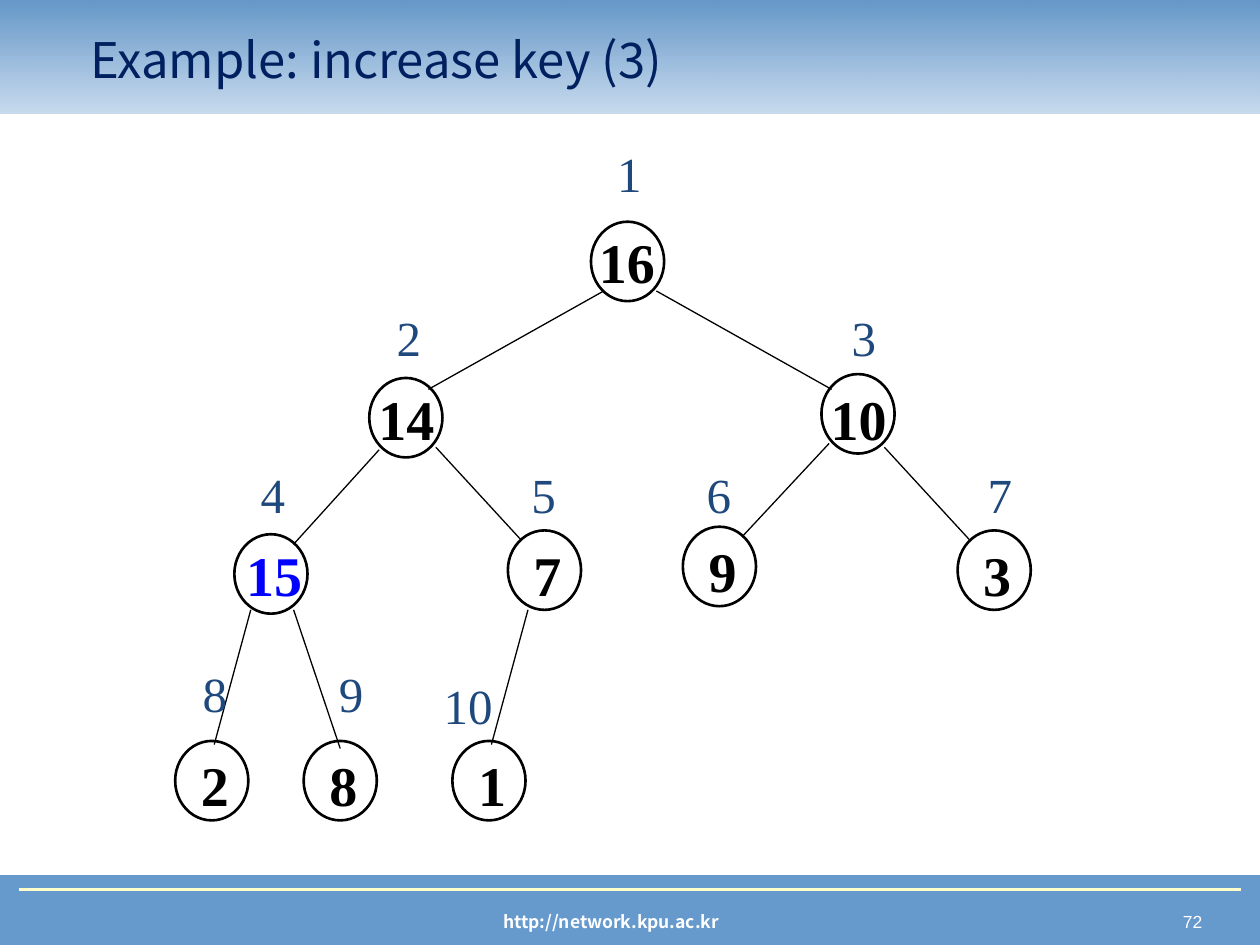
from typing import NamedTuple

import pptx
import pptx.dml.color
import pptx.enum.shapes
import pptx.enum.text
import pptx.oxml.ns
import pptx.util
from lxml import etree

Pt = pptx.util.Pt
RGBColor = pptx.dml.color.RGBColor
PP_ALIGN = pptx.enum.text.PP_ALIGN
MSO_ANCHOR = pptx.enum.text.MSO_ANCHOR
MSO_SHAPE = pptx.enum.shapes.MSO_SHAPE
qn = pptx.oxml.ns.qn

BAND_BLUE = RGBColor(0x66, 0x99, 0xCC)
HEADER_TOP = RGBColor(0x64, 0x97, 0xC9)
RULE_CREAM = RGBColor(0xFF, 0xFF, 0xCC)
TITLE_NAVY = RGBColor(0x00, 0x20, 0x60)
INDEX_BLUE = RGBColor(0x1F, 0x49, 0x7D)
CHANGED_BLUE = RGBColor(0x00, 0x00, 0xFF)
BLACK = RGBColor(0, 0, 0)
WHITE = RGBColor(0xFF, 0xFF, 0xFF)

SANS = "Noto Sans CJK KR"
SERIF = "Times New Roman"
NODE_WIDTH, NODE_HEIGHT = 41.8, 45.4
KEY_WIDTH, KEY_HEIGHT = 56.9, 46.1
INDEX_HEIGHT = 41


class Style(NamedTuple):
    font: str
    size: float
    color: RGBColor
    bold: bool = False
    align: PP_ALIGN = PP_ALIGN.CENTER


class Node(NamedTuple):
    """A heap node: left/top corners of its circle, key text and index text."""
    key: str
    circle: tuple[float, float]
    key_at: tuple[float, float]
    index_at: tuple[float, float]
    index_width: float = 28.1


class Edge(NamedTuple):
    start: tuple[float, float]
    end: tuple[float, float]


KEY_STYLE = Style(SERIF, 32, BLACK, bold=True)
CHANGED_STYLE = KEY_STYLE._replace(color=CHANGED_BLUE)
INDEX_STYLE = Style(SERIF, 28, INDEX_BLUE)
CHANGED_INDEX = 4

# In heap order, so the index shown is the position in this list.
HEAP = [
    Node("16", (337.7, 126.7), (329.8, 126.7), (345.6, 78.5)),
    Node("14", (211, 216), (203.8, 216), (219.6, 172.1)),
    Node("10", (469.4, 213.8), (462.2, 216), (479.5, 172.1)),
    Node("15", (133.9, 305.3), (128.2, 305.3), (141.8, 262.1)),
    Node("7", (290.2, 303.1), (284.4, 305.3), (296.6, 262.1)),
    Node("9", (390.2, 301), (384.5, 303.1), (396.7, 262.1)),
    Node("3", (547.2, 303.1), (541.4, 305.3), (557.3, 262.1)),
    Node("2", (100.1, 423.4), (94.3, 425.5), (108.7, 375.8)),
    Node("8", (173.5, 423.4), (167.8, 425.5), (186.5, 375.8)),
    Node("1", (258.5, 423.4), (252.7, 425.5), (246.2, 382.3), 42.5),
]
EDGES = [
    Edge((345, 166.3), (244.8, 222.5)),
    Edge((375.1, 166.3), (475.2, 222.5)),
    Edge((216.7, 257), (167.8, 311)),
    Edge((249.1, 255.6), (298.1, 308.9)),
    Edge((473.8, 253.4), (424.1, 306.7)),
    Edge((505.4, 255.6), (554.4, 308.9)),
    Edge((143.3, 348.5), (122.4, 425.5)),
    Edge((167.8, 348.5), (194.4, 427.7)),
    Edge((301.7, 348.5), (280.8, 425.5)),
]


def add_text(slide, text: str, left: float, top: float, width: float,
             height: float, style: Style, wrap: bool = True):
    box = slide.shapes.add_textbox(Pt(left), Pt(top), Pt(width), Pt(height))
    frame = box.text_frame
    frame.word_wrap = wrap
    paragraph = frame.paragraphs[0]
    paragraph.text = text
    paragraph.alignment = style.align
    paragraph.font.name = style.font
    paragraph.font.size = Pt(style.size)
    paragraph.font.bold = style.bold
    paragraph.font.color.rgb = style.color
    return frame


def add_line(slide, edge: Edge, color: RGBColor, width: float) -> None:
    line = slide.shapes.add_connector(
        pptx.enum.shapes.MSO_CONNECTOR.STRAIGHT,
        *(Pt(value) for value in (*edge.start, *edge.end)))
    line.line.color.rgb = color
    line.line.width = Pt(width)
    etree.SubElement(line._element.spPr, qn("a:effectLst"))


def add_shape(slide, kind: MSO_SHAPE, left: float, top: float,
              width: float, height: float):
    shape = slide.shapes.add_shape(kind, Pt(left), Pt(top), Pt(width), Pt(height))
    shape.shadow.inherit = False
    return shape


def add_header(slide) -> None:
    band = add_shape(slide, MSO_SHAPE.RECTANGLE, -0.5, 0, 720.5, 65)
    band.line.fill.background()
    band.fill.gradient()
    band.fill.gradient_angle = 90
    bottom, top = band.fill.gradient_stops
    bottom.position, top.position = 0, 1
    bottom.color.rgb, top.color.rgb = BAND_BLUE, HEADER_TOP
    bottom_color = next(band._element.spPr.iter(qn("a:srgbClr")))
    etree.SubElement(bottom_color, qn("a:alpha"), val="35000")

    title = add_text(slide, "Example: increase key (3)", 44.6, 11.5, 607.7, 44.6,
                     Style(SANS, 28, TITLE_NAVY, align=PP_ALIGN.LEFT))
    title.vertical_anchor = MSO_ANCHOR.MIDDLE


def add_footer(slide) -> None:
    band = add_shape(slide, MSO_SHAPE.RECTANGLE, 0, 500.4, 720, 39.6)
    band.fill.solid()
    band.fill.fore_color.rgb = BAND_BLUE
    band.line.color.rgb = BAND_BLUE
    band.line.width = Pt(0.75)
    page = add_text(slide, "72", 534.2, 517, 162.8, 19.4,
                    Style("Arial", 10, WHITE, align=PP_ALIGN.RIGHT))
    page.margin_right = Pt(10)
    add_text(slide, "http://network.kpu.ac.kr", 163.4, 517, 371.5, 19.4,
             Style(SANS, 10, WHITE, bold=True))
    add_line(slide, Edge((10.8, 508.3), (709.2, 508.3)), RULE_CREAM, 1.5)


def add_node(slide, index: int, node: Node) -> None:
    circle = add_shape(slide, MSO_SHAPE.OVAL, *node.circle, NODE_WIDTH, NODE_HEIGHT)
    circle.fill.background()
    circle.line.color.rgb = BLACK
    circle.line.width = Pt(1.5)
    add_text(slide, node.key, *node.key_at, KEY_WIDTH, KEY_HEIGHT,
             CHANGED_STYLE if index == CHANGED_INDEX else KEY_STYLE)
    add_text(slide, str(index), *node.index_at, node.index_width, INDEX_HEIGHT,
             INDEX_STYLE, wrap=False)


def main() -> None:
    deck = pptx.Presentation()
    deck.slide_width, deck.slide_height = Pt(720), Pt(540)
    slide = deck.slides.add_slide(deck.slide_layouts[6])
    add_footer(slide)
    add_header(slide)
    for edge in EDGES:
        add_line(slide, edge, BLACK, 0.75)
    for index, node in enumerate(HEAP, start=1):
        add_node(slide, index, node)
    deck.save("out.pptx")


if __name__ == "__main__":
    main()
